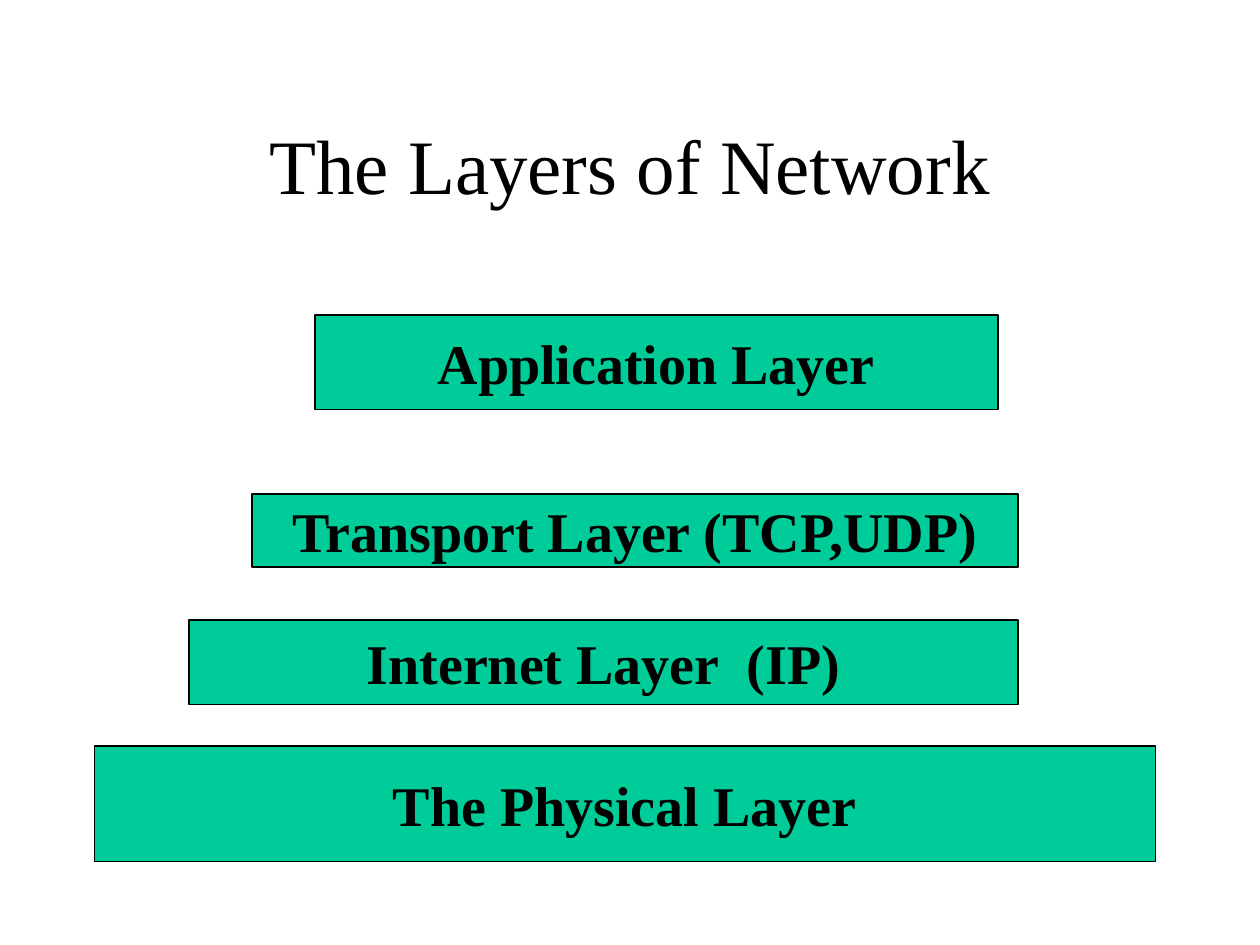
from pptx import Presentation
from pptx.dml.color import RGBColor
from pptx.enum.shapes import MSO_SHAPE
from pptx.enum.text import MSO_ANCHOR, PP_ALIGN
from pptx.util import Inches, Pt

FONT = "Times New Roman"
BLACK = "000000"
GREEN = "00CC99"

TITLE = ("The Layers of Network", (0.75, 0.67, 8.5, 1.25))
# Text and (left, top, width, height) in inches, from the bottom layer up
LAYERS = [
    ("The Physical Layer", (0.75, 5.92, 8.42, 0.92)),
    ("Internet Layer  (IP)", (1.5, 4.92, 6.58, 0.67)),
    ("Transport Layer (TCP,UDP)", (2, 3.92, 6.08, 0.58)),
    ("Application Layer", (2.5, 2.5, 5.42, 0.75)),
]


def color(value):
    return RGBColor.from_string(value)


def write_text(shape, text, size, bold, wrap):
    frame = shape.text_frame
    frame.word_wrap = wrap
    frame.vertical_anchor = MSO_ANCHOR.MIDDLE
    paragraph = frame.paragraphs[0]
    paragraph.alignment = PP_ALIGN.CENTER
    run = paragraph.add_run()
    run.text = text
    run.font.name = FONT
    run.font.size = Pt(size)
    run.font.bold = bold
    run.font.color.rgb = color(BLACK)


def add_title(slide, text, box):
    shape = slide.shapes.add_textbox(*map(Inches, box))
    write_text(shape, text, 44, bold=False, wrap=True)


def add_layer(slide, text, box):
    shape = slide.shapes.add_shape(MSO_SHAPE.RECTANGLE, *map(Inches, box))
    shape.shadow.inherit = False
    shape.fill.solid()
    shape.fill.fore_color.rgb = color(GREEN)
    shape.line.color.rgb = color(BLACK)
    shape.line.width = Pt(0.75)
    write_text(shape, text, 32, bold=True, wrap=False)


def main():
    presentation = Presentation()
    presentation.slide_width = Inches(10)
    presentation.slide_height = Inches(7.5)
    slide = presentation.slides.add_slide(presentation.slide_layouts[6])
    add_title(slide, *TITLE)
    for text, box in LAYERS:
        add_layer(slide, text, box)
    presentation.save("out.pptx")


if __name__ == "__main__":
    main()
